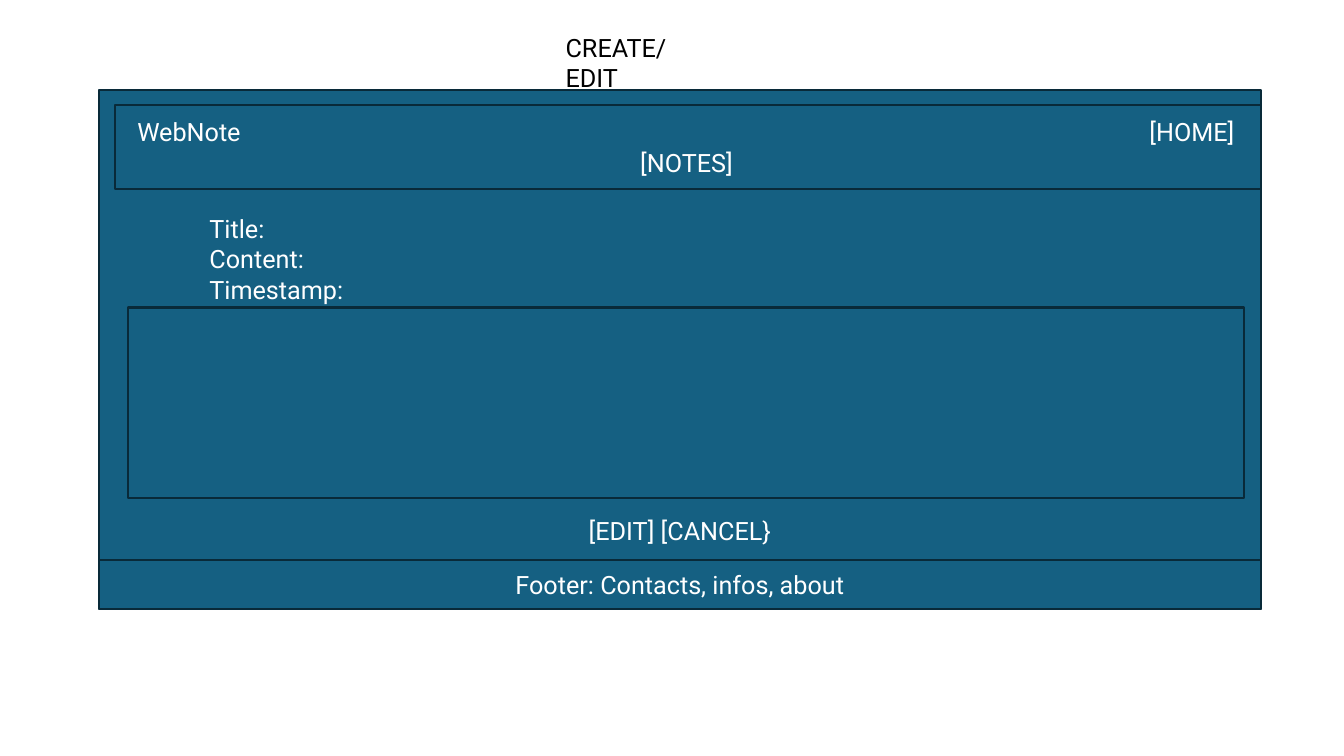
import pptx
import pptx.util
import pptx.dml.color
import pptx.enum.shapes
import pptx.enum.text
import pptx.oxml

Cm = pptx.util.Cm
Pt = pptx.util.Pt
RGBColor = pptx.dml.color.RGBColor
ALIGN = pptx.enum.text.PP_ALIGN
ANCHOR = pptx.enum.text.MSO_ANCHOR

BLUE = RGBColor(0x15, 0x60, 0x82)
NAVY = RGBColor(0x09, 0x2A, 0x39)
WHITE = RGBColor(0xFF, 0xFF, 0xFF)
BLACK = RGBColor(0x00, 0x00, 0x00)


def add_box(left, top, width, height):
    box = slide.shapes.add_shape(
        pptx.enum.shapes.MSO_SHAPE.RECTANGLE, Cm(left), Cm(top), Cm(width), Cm(height))
    box.shadow.inherit = False
    box.fill.solid()
    box.fill.fore_color.rgb = BLUE
    box.line.color.rgb = NAVY
    box.line.width = Pt(1.5)
    box.text_frame.word_wrap = True
    box.text_frame.vertical_anchor = ANCHOR.MIDDLE
    return box


def add_text(para, text, align, color=WHITE):
    para.alignment = align
    run = para.add_run()
    run.text = text
    run.font.name = "Roboto"
    run.font.size = Pt(18)
    run.font.color.rgb = color


deck = pptx.Presentation()
deck.slide_width = Cm(33.87)
deck.slide_height = Cm(19.05)
slide = deck.slides.add_slide(deck.slide_layouts[5])

# Title
title = slide.shapes.title
title.left, title.top, title.width, title.height = Cm(14), Cm(0.69), Cm(4.19), Cm(1.6)
frame = title.text_frame
frame.word_wrap = True
frame.auto_size = pptx.enum.text.MSO_AUTO_SIZE.NONE
frame.vertical_anchor = ANCHOR.TOP
add_text(frame.paragraphs[0], "CREATE/EDIT", ALIGN.LEFT, BLACK)

# Page with field labels and buttons
page = add_box(2.49, 2.26, 29.29, 13.08).text_frame
page.vertical_anchor = ANCHOR.TOP
page.margin_top = Cm(3.12)
for label in ("Title:", "Content:", "Timestamp:"):
    para = page.paragraphs[0] if label == "Title:" else page.add_paragraph()
    add_text(para, label, ALIGN.LEFT)
    para._p.get_or_add_pPr().set("marL", str(Cm(2.54)))
buttons = page.add_paragraph()
buttons.space_before = Pt(151)
add_text(buttons, "[EDIT] [CANCEL}", ALIGN.CENTER)

# Header: brand left, home link at a right tab, notes link below
header = add_box(2.9, 2.64, 28.88, 2.13).text_frame
header.margin_left = Cm(0.56)
header.margin_right = Cm(0.64)
brand = header.paragraphs[0]
add_text(brand, "WebNote\t[HOME]", ALIGN.LEFT)
tabs = pptx.oxml.parse_xml(
    '<a:tabLst xmlns:a="http://schemas.openxmlformats.org/drawingml/2006/main">'
    f'<a:tab pos="{Cm(27.65)}" algn="r"/></a:tabLst>')
brand._p.get_or_add_pPr().append(tabs)
add_text(header.add_paragraph(), "[NOTES]", ALIGN.CENTER)

# Footer
footer = add_box(2.49, 14.12, 29.29, 1.22).text_frame
add_text(footer.paragraphs[0], "Footer: Contacts, infos, about", ALIGN.CENTER)

# Content area
add_box(3.23, 7.75, 28.12, 4.8)

deck.save("out.pptx")
